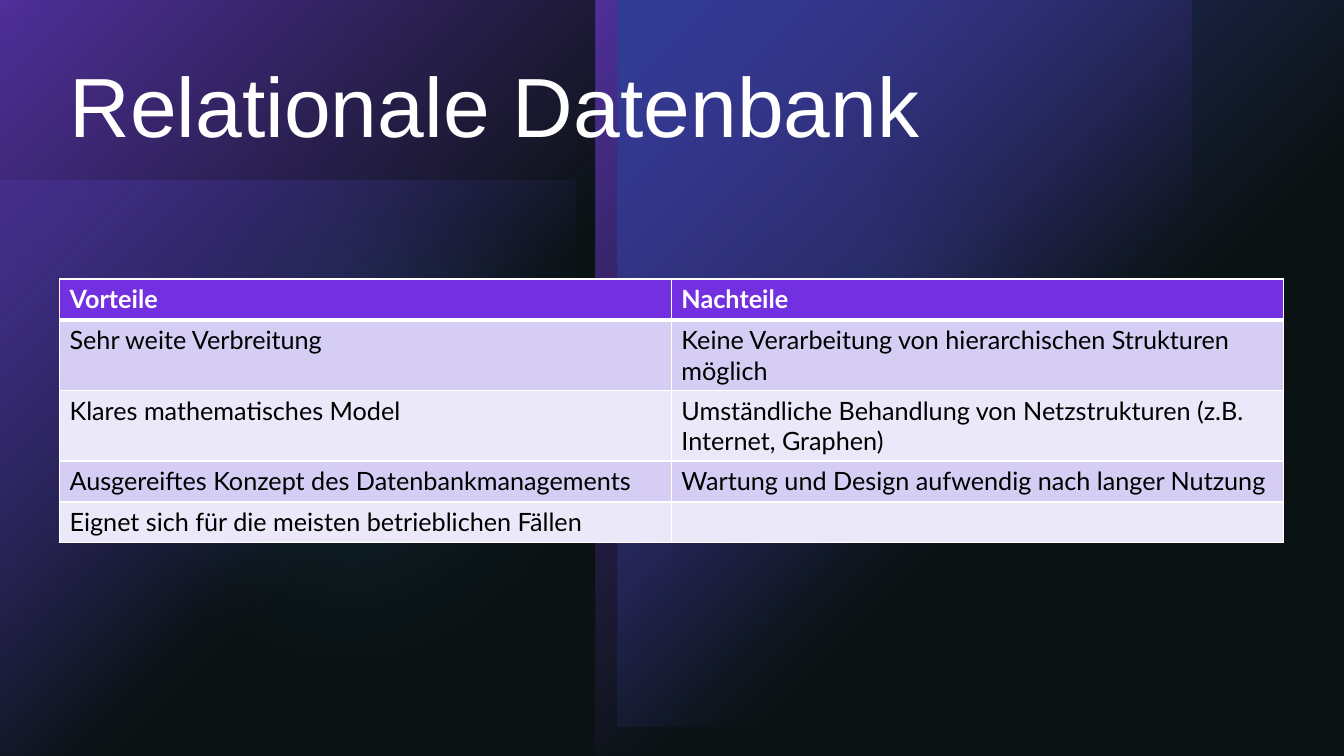
import pptx
import pptx.dml.color
import pptx.enum.shapes
import pptx.enum.text
import pptx.oxml
import pptx.oxml.ns
import pptx.util
from lxml import etree
from pptx.util import Cm

COLORS = {
    "black": "000000", "white": "FFFFFF", "purple": "7230E0",
    "indigo": "3F45D5", "blue": "3081E0", "veil": "1C2F31",
    "band_dark": "D5CDF3", "band_light": "EBE8F9",
}
SHAPES = pptx.enum.shapes.MSO_SHAPE
qn = pptx.oxml.ns.qn


def rgb(name):
    return pptx.dml.color.RGBColor.from_string(COLORS[name])


def set_border(cell, side, points):
    """Draw one white cell edge; side is L, R, T or B."""
    edge = etree.SubElement(cell._tc.get_or_add_tcPr(), qn(f"a:ln{side}"),
                            w=str(pptx.util.Pt(points)))
    solid = etree.SubElement(edge, qn("a:solidFill"))
    etree.SubElement(solid, qn("a:srgbClr"), val=COLORS["white"])


deck = pptx.Presentation()
deck.slide_width, deck.slide_height = Cm(33.87), Cm(19.05)
page = deck.slides.add_slide(deck.slide_layouts[5])
page.background.fill.solid()
page.background.fill.fore_color.rgb = rgb("black")

# Backdrop: left, top, width, height, colour, opacities in percent, soft edge
# Two opacities make a diagonal fade, one makes a plain fill
backdrop = [
    (SHAPES.RECTANGLE, 0, 4.56, 14.5, 14.5, "indigo", (60, 0), False),
    (SHAPES.OVAL, 15.98, 1.09, 11.99, 11.99, "blue", (60,), True),
    (SHAPES.OVAL, 0, 1.42, 17.63, 17.63, "blue", (20,), True),
    (SHAPES.RECTANGLE, 0, 0, 15.01, 19.05, "purple", (100, 0), False),
    (SHAPES.RECTANGLE, 15.01, 0, 15.01, 19.05, "purple", (100, 0), False),
    (SHAPES.RECTANGLE, 15.56, 0, 18.31, 18.31, "indigo", (100, 0), False),
    (SHAPES.RECTANGLE, 0, 0, 33.87, 19.05, "veil", (40,), False),
]
for kind, left, top, width, height, color, opacities, soft in backdrop:
    panel = page.shapes.add_shape(kind, Cm(left), Cm(top), Cm(width), Cm(height))
    panel.shadow.inherit = False
    panel.line.fill.background()
    if len(opacities) == 2:
        panel.fill.gradient()
        panel.fill.gradient_angle = 315
        for stop, position in zip(panel.fill.gradient_stops, (0, 0.6)):
            stop.color.rgb = rgb(color)
            stop.position = position
    else:
        panel.fill.solid()
        panel.fill.fore_color.rgb = rgb(color)
    properties = panel._element.spPr
    for tint, opacity in zip(properties.iter(qn("a:srgbClr")), opacities):
        etree.SubElement(tint, qn("a:alpha"), val=str(opacity * 1000))
    if soft:
        etree.SubElement(properties.find(qn("a:effectLst")), qn("a:softEdge"),
                         rad=str(pptx.util.Pt(100)))

# Title, brought in front of the backdrop
title = page.shapes.title
page.shapes._spTree.append(title._element)
title.left, title.top, title.width, title.height = Cm(1.5), Cm(1.5), Cm(30.84), Cm(5.03)
title.text_frame.text = "Relationale Datenbank"
title.text_frame.vertical_anchor = pptx.enum.text.MSO_ANCHOR.TOP
heading = title.text_frame.paragraphs[0]
heading.alignment = pptx.enum.text.PP_ALIGN.LEFT
heading.line_spacing = 0.9
heading.font.name = "Arial"
heading.font.size = pptx.util.Pt(60)
heading.font.color.rgb = rgb("white")

# Advantages and drawbacks
rows = [
    ("Vorteile", "Nachteile"),
    ("Sehr weite Verbreitung",
     "Keine Verarbeitung von hierarchischen Strukturen möglich"),
    ("Klares mathematisches Model",
     "Umständliche Behandlung von Netzstrukturen (z.B. Internet, Graphen)"),
    ("Ausgereiftes Konzept des Datenbankmanagements",
     "Wartung und Design aufwendig nach langer Nutzung"),
    ("Eignet sich für die meisten betrieblichen Fällen", ""),
]
row_height = Cm(1.03)
table = page.shapes.add_table(len(rows), 2, Cm(1.5), Cm(7.03), Cm(30.84),
                              row_height * len(rows)).table
for row_index, texts in enumerate(rows):
    table.rows[row_index].height = row_height
    is_header = row_index == 0
    band = "purple" if is_header else ("band_light", "band_dark")[row_index % 2]
    for column_index, text in enumerate(texts):
        cell = table.cell(row_index, column_index)
        cell.text = text
        font = cell.text_frame.paragraphs[0].font
        font.name = "Lato"
        font.size = pptx.util.Pt(18)
        font.bold = is_header
        font.color.rgb = rgb("white" if is_header else "black")
        set_border(cell, "L", 1)
        set_border(cell, "R", 1)
        set_border(cell, "T", 3 if row_index == 1 else 1)
        set_border(cell, "B", 3 if is_header else 1)
        cell.fill.solid()
        cell.fill.fore_color.rgb = rgb(band)

deck.save("out.pptx")
